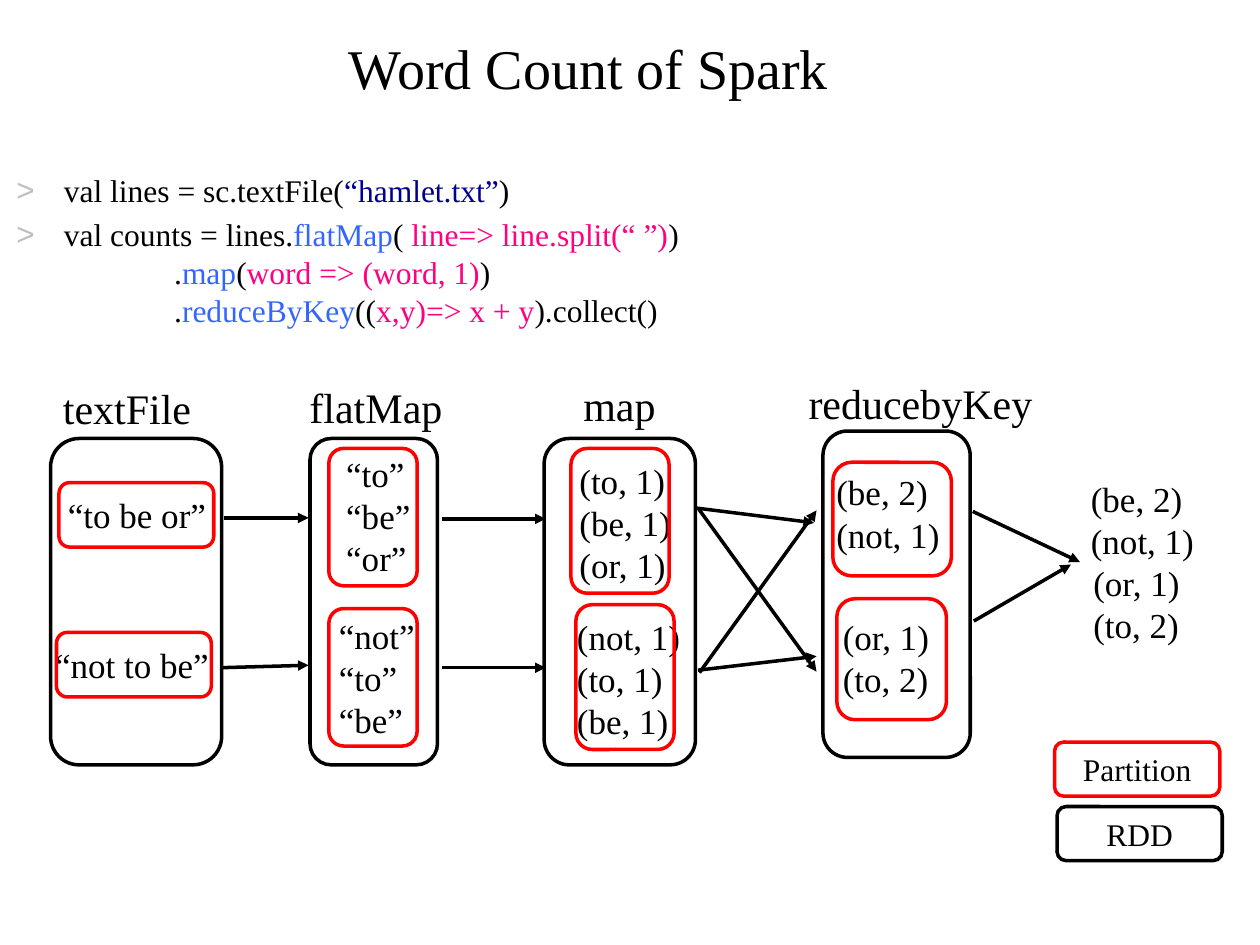
from lxml import etree
from pptx import Presentation
from pptx.dml.color import RGBColor
from pptx.enum import shapes, text
from pptx.oxml.ns import qn
from pptx.util import Cm, Pt

SERIF = "Times New Roman"
BLACK, RED, NAVY, BLUE, PINK = "000000", "FF0000", "000090", "3366FF", "FF0080"
color = RGBColor.from_string

deck = Presentation()
deck.slide_width, deck.slide_height = Cm(25.4), Cm(19.05)
slide = deck.slides.add_slide(deck.slide_layouts[6])


def add_text(words, size, left, top, width, height, wrap=True):
    frame = slide.shapes.add_textbox(Cm(left), Cm(top), Cm(width), Cm(height)).text_frame
    frame.word_wrap = wrap
    paragraph = frame.paragraphs[0]
    paragraph.text = words
    paragraph.font.name, paragraph.font.size = SERIF, Pt(size)
    paragraph.font.color.rgb = color(BLACK)
    return frame


def add_outline(edge, left, top, width, height):
    outline = slide.shapes.add_shape(shapes.MSO_SHAPE.ROUNDED_RECTANGLE,
                                     Cm(left), Cm(top), Cm(width), Cm(height))
    outline.shadow.inherit = False
    outline.fill.background()
    outline.line.color.rgb = color(edge)
    outline.line.width = Pt(2)
    return outline


add_text("Word Count of Spark", 32, 6.78, 0.56, 11.81, 1.8)

# Program code: one list of (text, color) pieces per statement
statements = [
    [("val lines = sc.textFile(", BLACK), ("“hamlet.txt”", NAVY), (")", BLACK)],
    [("val counts = lines.", BLACK), ("flatMap", BLUE), ("(", BLACK),
     (" line=> line.split(“ ”)", PINK), (")\n              .", BLACK),
     ("map", BLUE), ("(", BLACK), ("word => (word, 1)", PINK),
     (")\n              .", BLACK), ("reduceByKey", BLUE), ("((", BLACK),
     ("x,y)=> x + y", PINK), (").collect()", BLACK)],
]
code = slide.shapes.add_textbox(Cm(0.08), Cm(3.33), Cm(25.32), Cm(7.19)).text_frame
code.word_wrap = True
for number, pieces in enumerate(statements):
    statement = code.add_paragraph() if number else code.paragraphs[0]
    properties = statement._p.get_or_add_pPr()
    properties.set("marL", str(Cm(0.96)))
    properties.set("indent", str(-Cm(0.96)))
    if number:
        statement.space_before = Pt(3.6)
    bullet_color = etree.SubElement(properties, qn("a:buClr"))
    etree.SubElement(bullet_color, qn("a:srgbClr"), val="BFBFBF")
    etree.SubElement(properties, qn("a:buFont"), typeface="Arial")
    etree.SubElement(properties, qn("a:buChar"), char=">")
    statement.font.name, statement.font.size = SERIF, Pt(18)
    for words, ink in pieces:
        for line_number, line in enumerate(words.split("\n")):
            if line_number:
                statement.add_line_break()
            run = statement.add_run()
            run.text = line
            run.font.name, run.font.size = SERIF, Pt(18)
            run.font.color.rgb = color(ink)

# Records in each partition, then the collected result
for records, left, top, width in [
    ("“to be or”", 1.12, 9.83, 3.4),
    ("“not to be”", 0.86, 12.85, 3.73),
    ("“to”\n“be”\n“or”", 6.73, 8.99, 1.83),
    ("“not”\n“to”\n“be”", 6.58, 12.27, 2.08),
    ("(to, 1)\n(be, 1)\n(or, 1)", 11.43, 9.14, 2.36),
    ("(not, 1)\n(to, 1)\n(be, 1)", 11.38, 12.29, 2.62),
    ("(be, 2)\n(not, 1)", 16.61, 9.37, 2.62),
    ("(or, 1)\n(to, 2)", 16.74, 12.29, 2.26),
    ("(or, 1)\n(to, 2)", 21.79, 11.2, 2.26),
    ("(be, 2)\n(not, 1)", 21.74, 9.5, 2.62),
]:
    height = 1.12 + 0.85 * records.count("\n")
    frame = add_text(records, 20, left, top, width, height, wrap=False)
    frame.auto_size = text.MSO_AUTO_SIZE.SHAPE_TO_FIT_TEXT

# Data flow between the stages
for x1, y1, x2, y2 in [
    (4.52, 10.44, 6.22, 10.44), (4.45, 13.46, 6.22, 13.41),
    (8.92, 10.46, 11, 10.46), (8.92, 13.46, 11, 13.46),
    (14.07, 10.24, 16.46, 13.54), (14.02, 10.24, 16.41, 10.54),
    (14.1, 13.56, 16.46, 10.29), (14.07, 13.51, 16.46, 13.23),
    (19.61, 10.31, 21.77, 11.33), (19.63, 12.52, 21.59, 11.38),
]:
    flow = slide.shapes.add_connector(shapes.MSO_CONNECTOR.STRAIGHT,
                                      Cm(x1), Cm(y1), Cm(x2), Cm(y2))
    flow.line.color.rgb = color(BLACK)
    flow.line.width = Pt(2)
    etree.SubElement(flow.line._get_or_add_ln(), qn("a:tailEnd"), type="triangle")
    etree.SubElement(flow._element.spPr, qn("a:effectLst"))

# RDD of each stage
for left, top, width in [(1.02, 8.84, 3.45), (6.25, 8.84, 2.57),
                         (10.97, 8.84, 3.05), (16.59, 8.69, 2.97)]:
    add_outline(BLACK, left, top, width, 6.58)

# Two partitions in each RDD
for partition in [
    (1.19, 9.73, 3.12, 1.3), (1.14, 12.75, 3.12, 1.3),
    (6.63, 9.04, 1.78, 2.77), (6.63, 12.27, 1.78, 2.77),
    (11.51, 9.04, 1.98, 2.92), (11.61, 12.19, 1.98, 2.92),
    (16.79, 9.32, 2.39, 2.29), (16.87, 12.07, 2.21, 2.44),
]:
    add_outline(RED, *partition)

for stage, left, top, width in [("textFile", 1.02, 7.59, 3.58), ("flatMap", 5.99, 7.57, 3.58),
                                ("map", 11.51, 7.52, 3.58), ("reducebyKey", 16.05, 7.49, 5.87)]:
    add_text(stage, 24, left, top, width, 1.27)

# Legend
for meaning, edge, left, top in [("Partition", RED, 21.26, 14.96), ("RDD", BLACK, 21.31, 16.26)]:
    key = add_outline(edge, left, top, 3.33, 1.09).text_frame
    key.vertical_anchor = text.MSO_ANCHOR.MIDDLE
    entry = key.paragraphs[0]
    entry.text = meaning
    entry.alignment = text.PP_ALIGN.CENTER
    entry.font.name, entry.font.size = SERIF, Pt(18)
    entry.font.color.rgb = color(BLACK)

deck.save("out.pptx")
